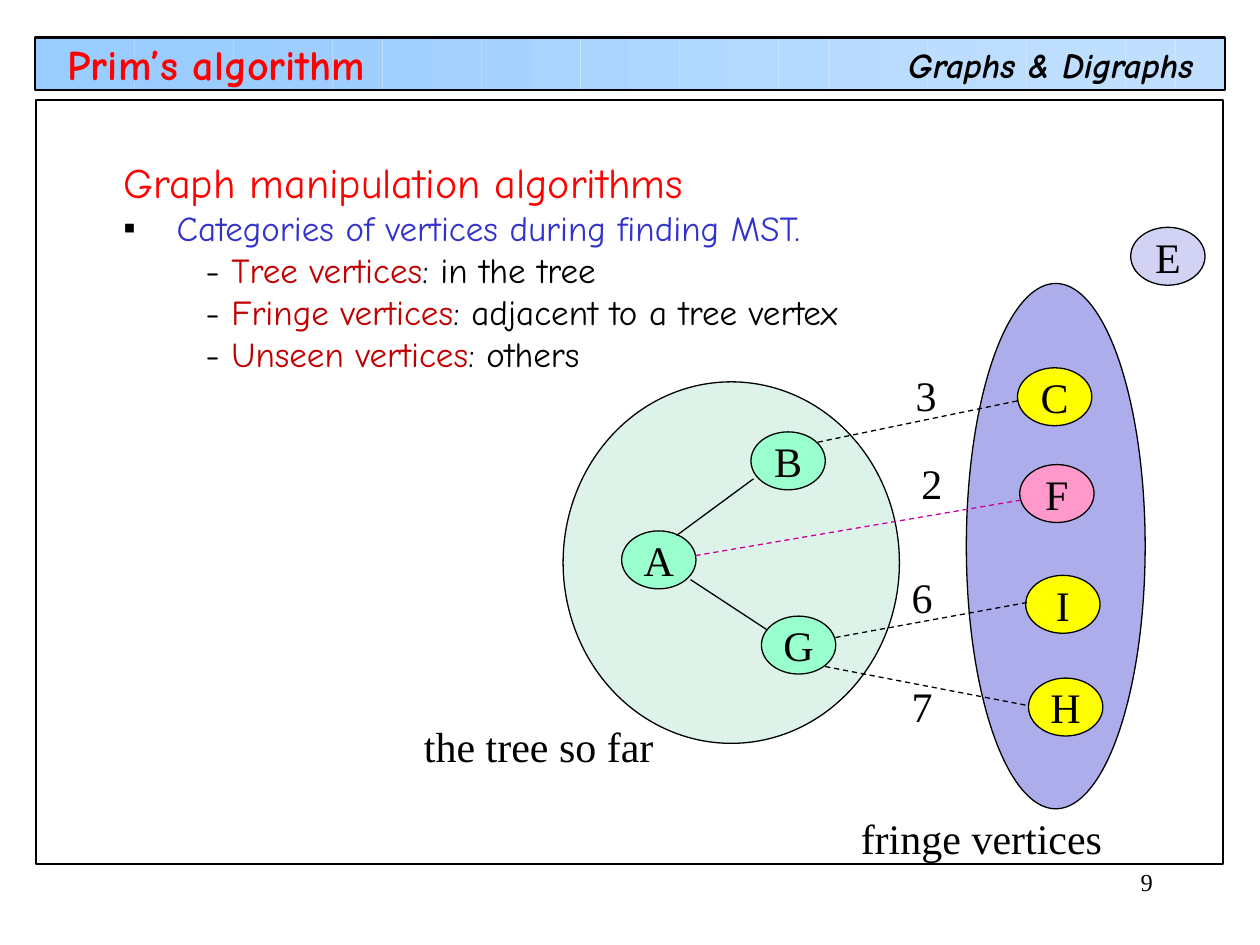
from math import cos, pi

from lxml import etree
from pptx import Presentation
from pptx.dml.color import RGBColor
from pptx.enum.dml import MSO_LINE
from pptx.enum.shapes import MSO_CONNECTOR, MSO_SHAPE
from pptx.enum.text import MSO_ANCHOR, MSO_AUTO_SIZE, PP_ALIGN
from pptx.oxml.ns import qn
from pptx.util import Pt

OVAL, RECT = MSO_SHAPE.OVAL, MSO_SHAPE.RECTANGLE
STRAIGHT, DASH = MSO_CONNECTOR.STRAIGHT, MSO_LINE.DASH
MIDDLE, FIXED = MSO_ANCHOR.MIDDLE, MSO_AUTO_SIZE.NONE
GROW = MSO_AUTO_SIZE.SHAPE_TO_FIT_TEXT
LEFT, CENTER, RIGHT = PP_ALIGN.LEFT, PP_ALIGN.CENTER, PP_ALIGN.RIGHT

HAND, SERIF = "Comic Neue", "Times New Roman"
BLACK, RED, DARK_RED, BLUE = "000000", "FF0000", "C00000", "3333CC"
MINT, YELLOW, PINK, LILAC, MAGENTA = "99FFCC", "FFFF00", "FF99CC", "D2D2F4", "CC0099"

BANNER = (20.2, 21.4, 679.7, 30.2)
STRIPS = 24
NODE_WIDTH, NODE_HEIGHT = 42.5, 33.1

VERTICES = [
    ("A", 355.2, 303.4, MINT), ("G", 435.1, 352.1, MINT), ("H", 587.7, 387.5, YELLOW),
    ("B", 429.1, 246.8, MINT), ("I", 586.1, 328.8, YELLOW), ("F", 582.7, 265.5, PINK),
    ("C", 581.4, 210.2, YELLOW), ("E", 646.1, 129.9, LILAC),
]
TREE_EDGES = [(386.6, 306, 430.6, 273.6), (394.6, 331.2, 438.5, 360)]
FRINGE_EDGES = [
    (467.3, 252.7, 581.8, 229, BLACK), (397.4, 317.5, 583.2, 285.8, MAGENTA),
    (477.4, 364.3, 587.5, 344.2, BLACK), (471.6, 380.9, 587.5, 403.2, BLACK),
]
LABELS = [
    ("the tree so far", 235.2, 408.4, 152), ("fringe vertices", 484.8, 460.8, 158),
    ("3", 516.2, 207.4, 28), ("2", 519.4, 257.8, 28),
    ("6", 513.8, 323.3, 28), ("7", 513.8, 385.2, 28),
]
CATEGORIES = [
    ("Tree vertices", ": in the tree"),
    ("Fringe vertices", ": adjacent to a tree vertex"),
    ("Unseen vertices", ": others"),
]


def rgb(value):
    """Turn a hex string into a colour."""
    return RGBColor.from_string(value)


def set_font(font, name, size, color, bold=None, italic=None):
    """Format a paragraph or run font."""
    font.name, font.size, font.bold, font.italic = name, Pt(size), bold, italic
    font.color.rgb = rgb(color)


def add_outline(slide, kind, box, fill=None, line=None, width=0.75):
    """Add a preset shape with an optional fill and outline."""
    shape = slide.shapes.add_shape(kind, *map(Pt, box))
    shape.shadow.inherit = False
    if fill:
        shape.fill.solid()
        shape.fill.fore_color.rgb = rgb(fill)
    else:
        shape.fill.background()
    if line:
        shape.line.color.rgb = rgb(line)
        shape.line.width = Pt(width)
    else:
        shape.line.fill.background()
    return shape


def add_banner(slide):
    """Add the header band whose strips ease from blue to pale blue."""
    left, top, width, height = BANNER
    pitch = width / STRIPS
    for i in range(STRIPS):
        ease = (1 - cos(pi * i / (STRIPS - 1))) / 2
        color = f"{round(153 + 39 * ease):02X}{round(204 + 19 * ease):02X}FF"
        add_outline(slide, RECT, (left + i * pitch, top, pitch, height), color)
    add_outline(slide, RECT, BANNER, line=BLACK, width=1.25)


def add_title(slide, text):
    """Place the title over the banner."""
    title = slide.shapes.title
    slide.shapes.element.append(title.element)
    title.left, title.top, title.width, title.height = map(Pt, (31.5, 27.4, 372.2, 18))
    frame = title.text_frame
    frame.text = text
    frame.vertical_anchor = MIDDLE
    frame.auto_size = FIXED
    frame.paragraphs[0].alignment = LEFT
    set_font(frame.paragraphs[0].font, HAND, 24, RED, bold=True)


def add_textbox(slide, box):
    """Add an unwrapped text box and return its frame."""
    frame = slide.shapes.add_textbox(*map(Pt, box)).text_frame
    frame.word_wrap = False
    frame.auto_size = GROW
    return frame


def add_label(slide, text, box, size=24, name=SERIF, align=LEFT, **style):
    """Add a one-line text in a box of fixed size."""
    frame = add_textbox(slide, box)
    frame.word_wrap = True
    frame.auto_size = FIXED
    paragraph = frame.paragraphs[0]
    paragraph.text = text
    paragraph.alignment = align
    set_font(paragraph.font, name, size, BLACK, **style)


def add_vertex(slide, letter, left, top, fill):
    """Add a lettered graph vertex."""
    box = (left, top, NODE_WIDTH, NODE_HEIGHT)
    frame = add_outline(slide, OVAL, box, fill, BLACK).text_frame
    frame.word_wrap = False
    frame.vertical_anchor = MIDDLE
    paragraph = frame.paragraphs[0]
    paragraph.text = letter
    paragraph.alignment = CENTER
    set_font(paragraph.font, SERIF, 24, BLACK)


def add_edge(slide, ends, color=BLACK, dash=None):
    """Add a graph edge."""
    edge = slide.shapes.add_connector(STRAIGHT, *map(Pt, ends))
    edge.line.color.rgb = rgb(color)
    edge.line.width = Pt(0.75)
    edge.line.dash_style = dash
    etree.SubElement(edge.element.spPr, qn("a:effectLst"))


def indent(paragraph, margin, hanging=0, bullet=None):
    """Set a paragraph margin and an optional black bullet."""
    properties = paragraph._p.get_or_add_pPr()
    properties.set("marL", str(Pt(margin)))
    properties.set("indent", str(Pt(-hanging)))
    if bullet:
        color = etree.SubElement(properties, qn("a:buClr"))
        etree.SubElement(color, qn("a:srgbClr"), val=BLACK)
        etree.SubElement(properties, qn("a:buFont"), typeface="Arial")
        etree.SubElement(properties, qn("a:buChar"), char=bullet)


def add_categories(slide):
    """Add the heading and the list of vertex categories."""
    frame = add_textbox(slide, (63.4, 85.7, 424.8, 132.5))
    heading = frame.paragraphs[0]
    heading.text = "Graph manipulation algorithms"
    set_font(heading.font, HAND, 24, RED)

    topic = frame.add_paragraph()
    topic.text = "Categories of vertices during finding MST."
    indent(topic, 30.5, 30.5, "▪")
    set_font(topic.font, HAND, 20, BLUE)

    for term, meaning in CATEGORIES:
        category = frame.add_paragraph()
        indent(category, 47)
        set_font(category.font, HAND, 20, BLACK)
        for text, color in (("- ", BLACK), (term, DARK_RED), (meaning, BLACK)):
            run = category.add_run()
            run.text = text
            run.font.color.rgb = rgb(color)


def main():
    """Build the slide and save it."""
    deck = Presentation()
    deck.slide_width, deck.slide_height = Pt(720), Pt(540)
    slide = deck.slides.add_slide(deck.slide_layouts[5])
    add_banner(slide)
    add_outline(slide, RECT, (20.5, 57, 678.2, 437), line=BLACK, width=1.25)
    add_label(slide, "Graphs & Digraphs", (511.9, 21.6, 184, 31.7), 20, HAND,
              bold=True, italic=True)
    add_label(slide, "9", (570.2, 491.8, 95.8, 36), 14, align=RIGHT)
    add_title(slide, "Prim’s algorithm")
    add_outline(slide, OVAL, (552.2, 162, 102.2, 300.2), "ADADEB", BLACK)
    add_outline(slide, OVAL, (321.8, 218.2, 192.2, 206.6), "DDF3EA", BLACK)
    for vertex in VERTICES:
        add_vertex(slide, *vertex)
    for ends in TREE_EDGES:
        add_edge(slide, ends)
    for *ends, color in FRINGE_EDGES:
        add_edge(slide, ends, color, DASH)
    for text, left, top, width in LABELS:
        add_label(slide, text, (left, top, width, 36))
    add_categories(slide)
    deck.save("out.pptx")


if __name__ == "__main__":
    main()
